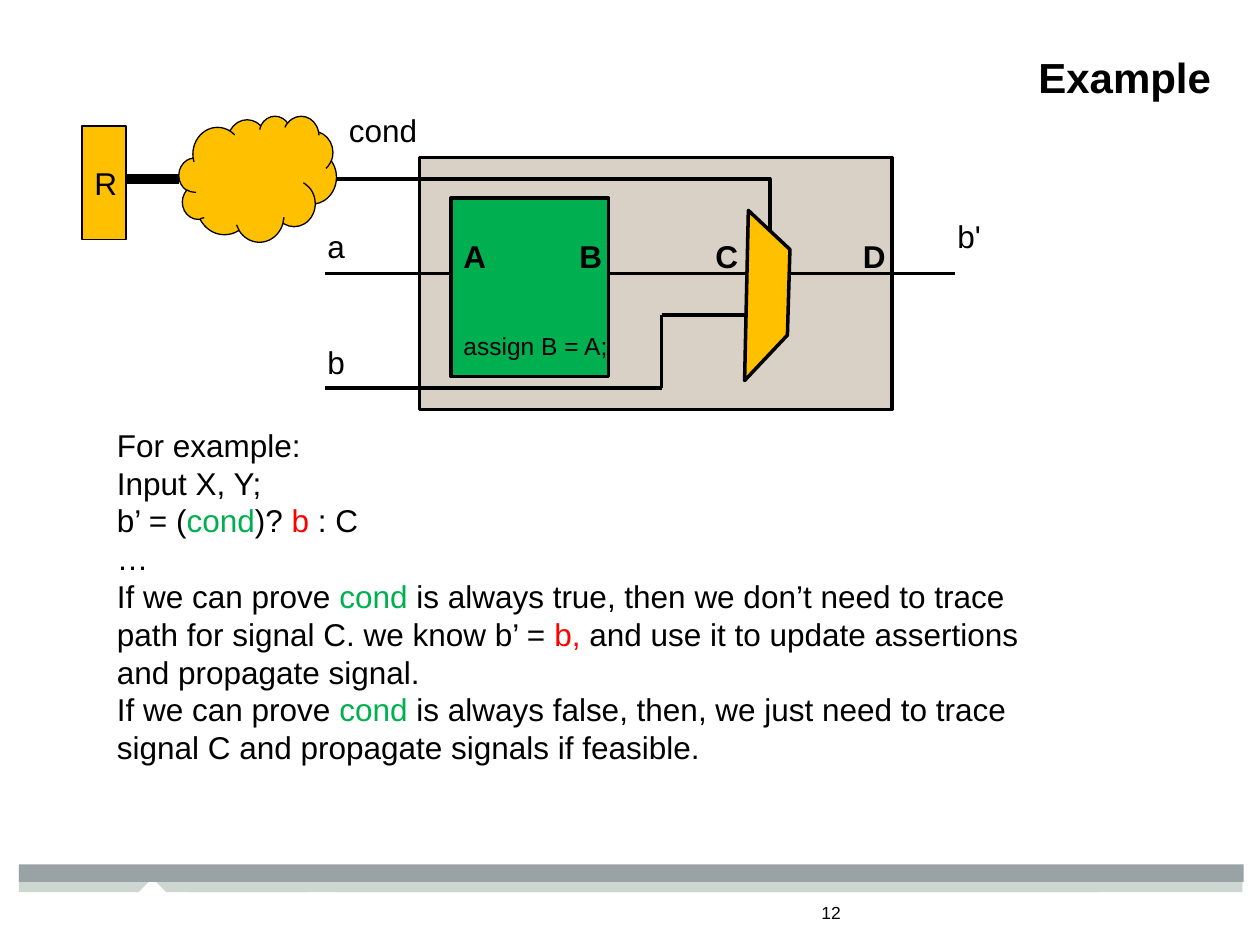
from typing import NamedTuple

from lxml import etree
from pptx import Presentation
from pptx.dml.color import RGBColor
from pptx.enum.shapes import MSO_CONNECTOR, MSO_SHAPE
from pptx.enum.text import MSO_ANCHOR, PP_ALIGN
from pptx.oxml.ns import qn
from pptx.util import Inches, Pt

STRAIGHT, ELBOW = MSO_CONNECTOR.STRAIGHT, MSO_CONNECTOR.ELBOW
RECTANGLE, CLOUD = MSO_SHAPE.RECTANGLE, MSO_SHAPE.CLOUD
TOP, MIDDLE = MSO_ANCHOR.TOP, MSO_ANCHOR.MIDDLE
LEFT, RIGHT = PP_ALIGN.LEFT, PP_ALIGN.RIGHT

FONT = "Arial"
COLORS = {
    "ink": "000000",
    "strip": "CDD6D1",
    "bar": "99A2A5",
    "module": "DAD1C6",
    "green": "00B050",
    "amber": "FFC000",
    "red": "FF0000",
}


class Block(NamedTuple):
    left: float
    top: float
    width: float
    height: float
    fill: str
    line: float = 0
    kind: int = RECTANGLE


class Wire(NamedTuple):
    start: tuple[float, float]
    end: tuple[float, float]
    width: float = 2
    kind: int = STRAIGHT


class Label(NamedTuple):
    text: str
    left: float
    top: float
    width: float = 0.5
    size: float = 18
    bold: bool = False


class Span(NamedTuple):
    text: str
    color: str = "ink"


class Strip(NamedTuple):
    left: float
    right: float
    notch: float


STRIPS = [Strip(1.51, 9.86, 2.55), Strip(0.15, 8.73, 1.21)]
BAR = Block(0.15, 6.86, 9.72, 0.14, "bar")
MODULE = Block(3.33, 1.25, 3.75, 2, "module", 2)
ASSIGNMENT = Block(3.58, 1.57, 1.25, 1.42, "green", 2)
LOGIC = Block(1.42, 0.92, 1.25, 1, "amber", 0.75, CLOUD)
REGISTER = Block(0.65, 1, 0.35, 0.9, "amber", 0.75)
MUX = [(6.27, 1.98), (6.25, 2.66), (5.91, 3.02), (5.94, 1.67)]

SIGNAL_Y = 2.17
WIRES = [
    Wire((6.25, SIGNAL_Y), (7.58, SIGNAL_Y)),
    Wire((4.83, SIGNAL_Y), (5.92, SIGNAL_Y)),
    Wire((2.58, SIGNAL_Y), (3.58, SIGNAL_Y)),
    Wire((2.67, 1.42), (6.11, 1.83), kind=ELBOW),
    Wire((5.25, 2.5), (5.92, 2.5)),
    Wire((5.25, 2.5), (5.25, 3.08)),
    Wire((5.25, 3.08), (2.58, 3.08)),
]
REGISTER_WIRE = Wire((1, 1.42), (1.42, 1.42), 6)

PORTS = [Label(name, left, 1.83, bold=True)
         for name, left in zip("ABCD", (3.58, 4.5, 5.58, 6.75))]
LABELS = PORTS + [
    Label("a", 2.5, 1.75),
    Label("b'", 7.5, 1.67),
    Label("assign B = A;", 3.58, 2.58, 1.45, 14),
    Label("b", 2.5, 2.67),
    Label("cond", 2.67, 0.83, 0.85),
]

COND = Span("cond", "green")
EXPLANATION = [
    [Span("For example:")],
    [Span("Input X, Y;")],
    [Span("b’ = ("), COND, Span(")? "), Span("b", "red"), Span(" : C")],
    [Span("…")],
    [Span("If we can prove "), COND,
     Span(" is always true, then we don’t need to trace path for signal C. we know b’ = "),
     Span("b,", "red"),
     Span(" and use it to update assertions and propagate signal.")],
    [Span("If we can prove "), COND,
     Span(" is always false, then, we just need to trace signal C and propagate signals if feasible.")],
]


def rgb(name: str) -> RGBColor:
    return RGBColor.from_string(COLORS[name])


def paint(shape, fill: str, line: float = 0) -> None:
    shape.shadow.inherit = False
    shape.fill.solid()
    shape.fill.fore_color.rgb = rgb(fill)
    if line:
        shape.line.color.rgb = rgb("ink")
        shape.line.width = Pt(line)
    else:
        shape.line.fill.background()


def write(shape, text: str | list[list[Span]], *, size: float = 18, bold: bool = False,
          align: int = LEFT, anchor: int = TOP, wrap: bool = False,
          spacing: float = 1.0) -> None:
    frame = shape.text_frame
    frame.word_wrap = wrap
    frame.vertical_anchor = anchor
    paragraphs = [[Span(text)]] if isinstance(text, str) else text
    for index, spans in enumerate(paragraphs):
        para = frame.add_paragraph() if index else frame.paragraphs[0]
        para.alignment = align
        para.line_spacing = spacing
        for span in spans:
            run = para.add_run()
            run.text = span.text
            run.font.name = FONT
            run.font.size = Pt(size)
            run.font.bold = bold
            run.font.color.rgb = rgb(span.color)


def add_text(page, text: str | list[list[Span]], left: float, top: float,
             width: float, height: float, **style) -> None:
    box = page.shapes.add_textbox(Inches(left), Inches(top), Inches(width), Inches(height))
    write(box, text, **style)


def add_block(page, block: Block):
    shape = page.shapes.add_shape(block.kind, Inches(block.left), Inches(block.top),
                                  Inches(block.width), Inches(block.height))
    paint(shape, block.fill, block.line)
    return shape


def add_polygon(page, points: list[tuple[float, float]], fill: str, line: float = 0) -> None:
    corners = [(Inches(x), Inches(y)) for x, y in points]
    builder = page.shapes.build_freeform(*corners[0])
    builder.add_line_segments(corners[1:], close=True)
    paint(builder.convert_to_shape(), fill, line)


def add_strip(page, strip: Strip) -> None:
    top, bottom, half = 6.89, 7.08, 0.11
    add_polygon(page, [
        (strip.right, top), (strip.right, bottom), (strip.notch + half, bottom),
        (strip.notch, 6.97), (strip.notch - half, bottom),
        (strip.left, bottom), (strip.left, top),
    ], "strip")


def add_wire(page, wire: Wire) -> None:
    ends = [Inches(value) for value in wire.start + wire.end]
    connector = page.shapes.add_connector(wire.kind, *ends)
    connector.line.color.rgb = rgb("ink")
    connector.line.width = Pt(wire.width)
    properties = connector._element.spPr
    etree.SubElement(properties, qn("a:effectLst"))
    if wire.kind == ELBOW:
        properties.find(qn("a:prstGeom")).set("prst", "bentConnector2")


def main() -> None:
    deck = Presentation()
    deck.slide_width, deck.slide_height = Inches(10), Inches(7.5)
    page = deck.slides.add_slide(deck.slide_layouts[6])

    for strip in STRIPS:
        add_strip(page, strip)
    add_block(page, BAR)
    add_text(page, "Example", 0, 0.42, 9.71, 0.72, size=24, bold=True,
             align=RIGHT, wrap=True, spacing=0.85)
    add_text(page, "12", 6.42, 7.11, 0.75, 0.34, size=10, wrap=True)

    add_block(page, MODULE)
    add_block(page, ASSIGNMENT)
    add_polygon(page, MUX, "amber", 2)
    for wire in WIRES:
        add_wire(page, wire)
    for label in LABELS:
        add_text(page, label.text, label.left, label.top, label.width, 0.42,
                 size=label.size, bold=label.bold)

    add_text(page, EXPLANATION, 0.83, 3.33, 7.5, 2.92, wrap=True)
    add_block(page, LOGIC)
    write(add_block(page, REGISTER), "R", anchor=MIDDLE)
    add_wire(page, REGISTER_WIRE)
    deck.save("out.pptx")


if __name__ == "__main__":
    main()
